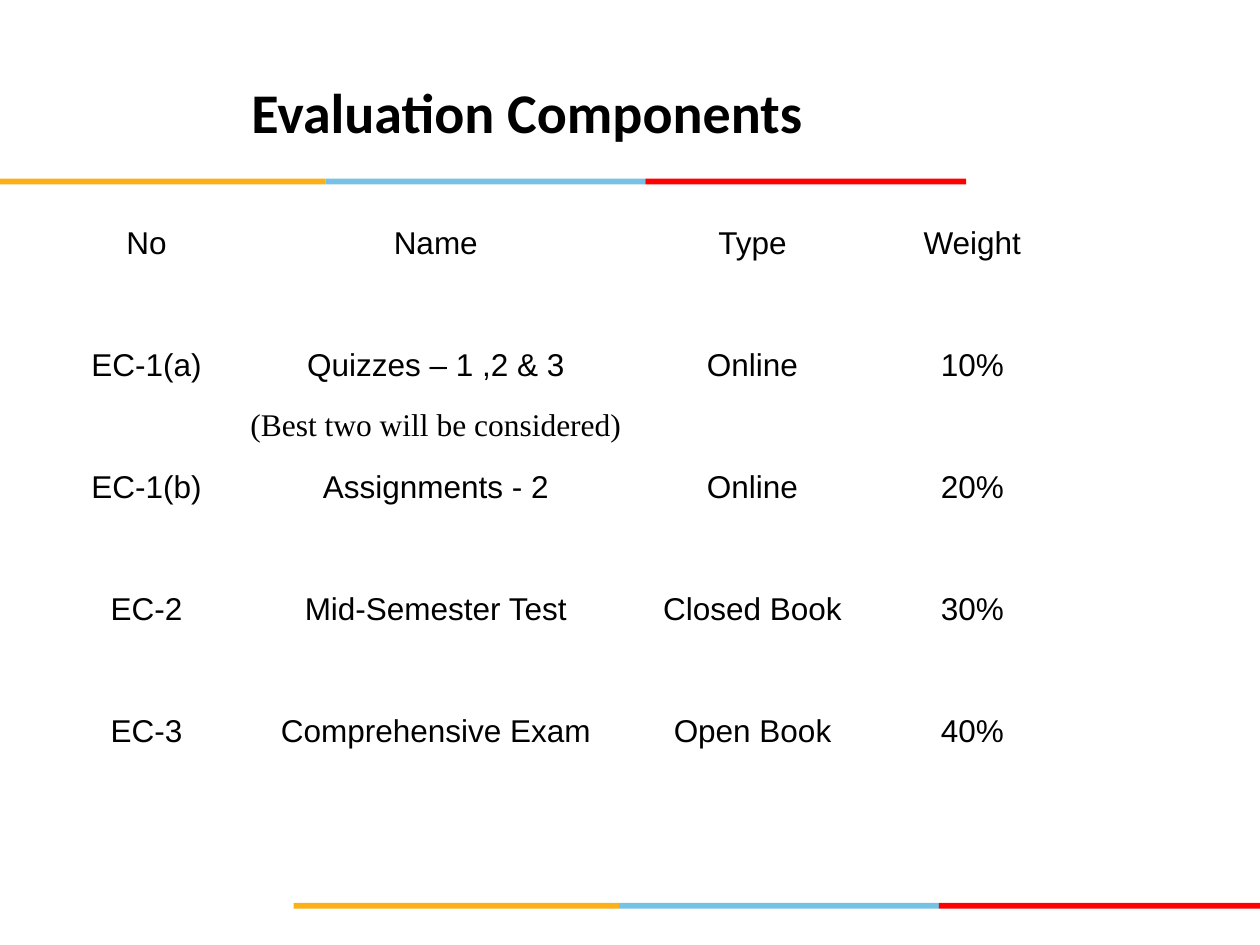
from pptx import Presentation
from pptx import util as u
from pptx.dml.color import RGBColor
from pptx.enum import shapes, text


def color(value):
    return RGBColor.from_string(value)


def style(para, size, name, bold=False):
    para.alignment = text.PP_ALIGN.CENTER
    for span in para.runs:
        span.font.size = u.Pt(size)
        span.font.name = name
        span.font.bold = bold
        span.font.color.rgb = color("000000")


deck = Presentation()
deck.slide_width, deck.slide_height = u.Cm(25.4), u.Cm(19.05)
page = deck.slides.add_slide(deck.slide_layouts[6])

segments = [(0, 6.56, "FCB017"), (6.56, 6.45, "76C2E5"), (13.01, 6.47, "FF0000")]
for left, top in [(5.92, 18.2), (0, 3.6)]:
    for offset, width, fill in segments:
        stripe = page.shapes.add_shape(
            shapes.MSO_SHAPE.RECTANGLE,
            u.Cm(left + offset), u.Cm(top), u.Cm(width), u.Cm(0.12))
        stripe.shadow.inherit = False
        stripe.fill.solid()
        stripe.fill.fore_color.rgb = color(fill)
        stripe.line.fill.background()

title = page.shapes.add_textbox(u.Cm(2.33), u.Cm(1.06), u.Cm(16.85), u.Cm(2.36))
frame = title.text_frame
frame.word_wrap = True
frame.vertical_anchor = text.MSO_ANCHOR.MIDDLE
frame.margin_left = frame.margin_right = frame.margin_top = frame.margin_bottom = 0
frame.text = "Evaluation Components "
style(frame.paragraphs[0], 32, "Calibri", True)

rows = [
    ("No", "Name", "Type", "Weight"),
    ("EC-1(a)", "Quizzes – 1 ,2 & 3\n(Best two will be considered)", "Online", "10%"),
    ("EC-1(b)", "Assignments - 2", "Online", "20%"),
    ("EC-2", "Mid-Semester Test", "Closed Book", "30%"),
    ("EC-3", "Comprehensive Exam", "Open Book", "40%"),
]
widths = [3.84, 7.82, 4.95, 3.91]
table = page.shapes.add_table(
    len(rows), len(widths), u.Cm(1.06), u.Cm(4.45),
    u.Cm(sum(widths)), u.Cm(2.46 * len(rows))).table
table.first_row = False
table.horz_banding = False
for column, width in zip(table.columns, widths):
    column.width = u.Cm(width)

for r, values in enumerate(rows):
    for c, value in enumerate(values):
        cell = table.cell(r, c)
        cell.fill.background()
        cell.margin_left = u.Cm(0.05)
        cell.margin_right = cell.margin_top = cell.margin_bottom = u.Cm(0.1)
        cell.text_frame.text = value
        for index, para in enumerate(cell.text_frame.paragraphs):
            style(para, 18, "Times New Roman" if index else "Arial")
            para.space_before = u.Pt(7.2 if index else 0)
            para.space_after = u.Pt(7.2)

deck.save("out.pptx")
